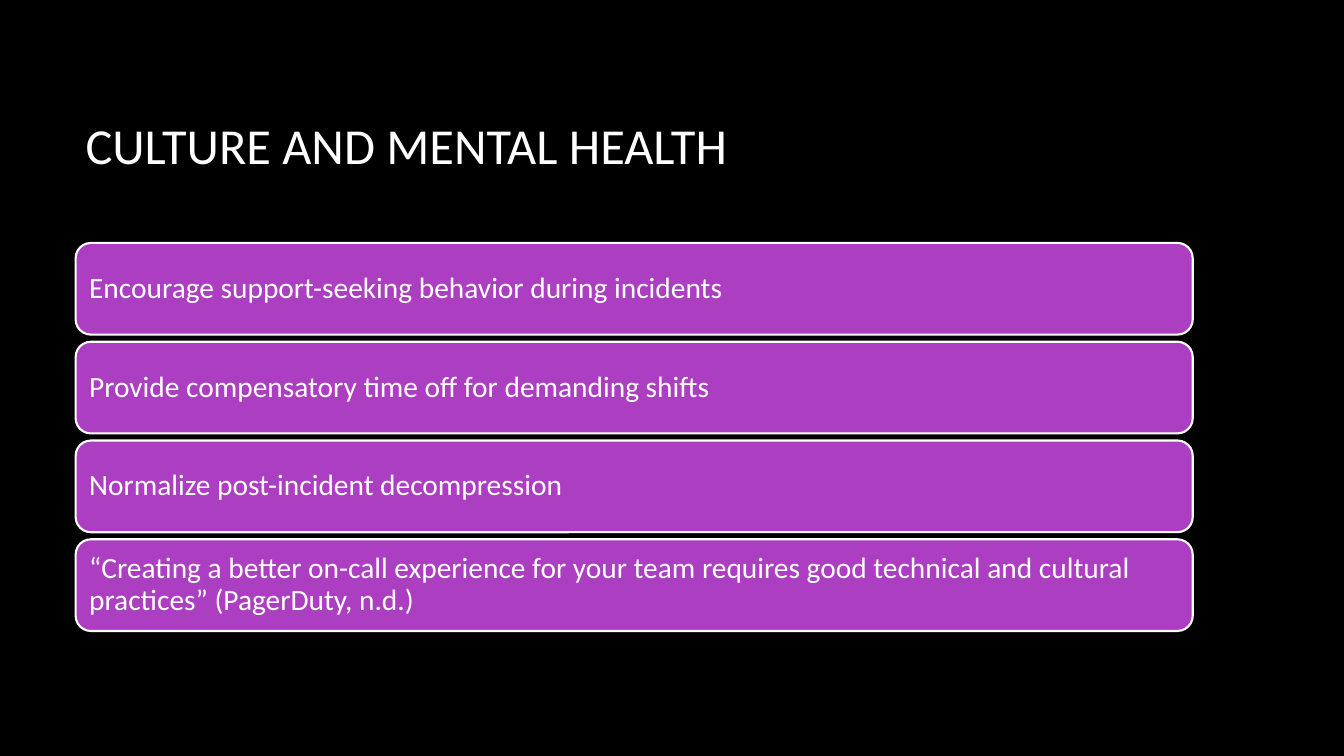
from dataclasses import dataclass

from pptx import Presentation
from pptx.dml.color import RGBColor
from pptx.enum.shapes import MSO_SHAPE
from pptx.enum.text import MSO_ANCHOR, PP_ALIGN
from pptx.util import Inches, Pt

ROUND = MSO_SHAPE.ROUNDED_RECTANGLE
MIDDLE = MSO_ANCHOR.MIDDLE
LEFT = PP_ALIGN.LEFT


@dataclass(frozen=True)
class Theme:
    font: str = "Calibri"
    back: RGBColor = RGBColor(0x00, 0x00, 0x00)
    text: RGBColor = RGBColor(0xFF, 0xFF, 0xFF)
    card: RGBColor = RGBColor(0xAC, 0x3E, 0xC1)
    title: Pt = Pt(36)
    body: Pt = Pt(21)
    edge: Pt = Pt(1.5)


theme = Theme()


def write(shape, text, size, inset):
    """Fill a shape with one left-aligned, vertically centred paragraph."""
    frame = shape.text_frame
    frame.word_wrap = True
    frame.vertical_anchor = MIDDLE
    frame.margin_left = frame.margin_right = Inches(inset)
    para = frame.paragraphs[0]
    para.text = text
    para.alignment = LEFT
    para.line_spacing = 0.9
    para.font.name = theme.font
    para.font.size = size
    para.font.color.rgb = theme.text


deck = Presentation()
deck.slide_width = Inches(13.33)
deck.slide_height = Inches(7.5)
slide = deck.slides.add_slide(deck.slide_layouts[6])
slide.background.fill.solid()
slide.background.fill.fore_color.rgb = theme.back

left, width = Inches(0.75), Inches(11.08)
title = slide.shapes.add_textbox(left, Inches(0.67), width, Inches(1.59))
write(title, "CULTURE AND MENTAL HEALTH", theme.title, 0.1)

points = [
    "Encourage support-seeking behavior during incidents",
    "Provide compensatory time off for demanding shifts",
    "Normalize post-incident decompression",
    "“Creating a better on-call experience for your team requires good "
    "technical and cultural practices” (PagerDuty, n.d.)",
]
top, step, height = 2.41, 0.98, 0.91
for row, point in enumerate(points):
    card = slide.shapes.add_shape(
        ROUND, left, Inches(top + row * step), width, Inches(height))
    card.shadow.inherit = False
    card.fill.solid()
    card.fill.fore_color.rgb = theme.card
    card.line.color.rgb = theme.text
    card.line.width = theme.edge
    # The rounded corners add their own small margin to the text.
    write(card, point, theme.body, 0.09)

deck.save("out.pptx")
